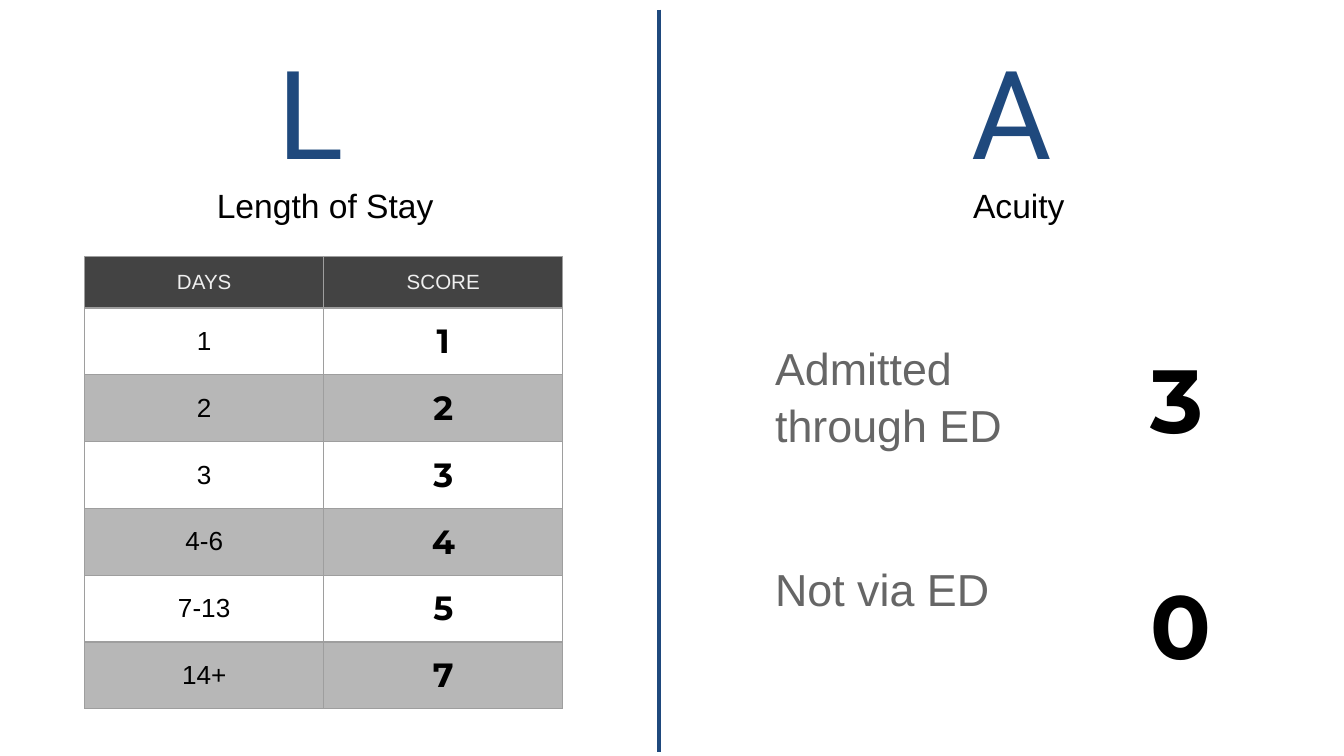
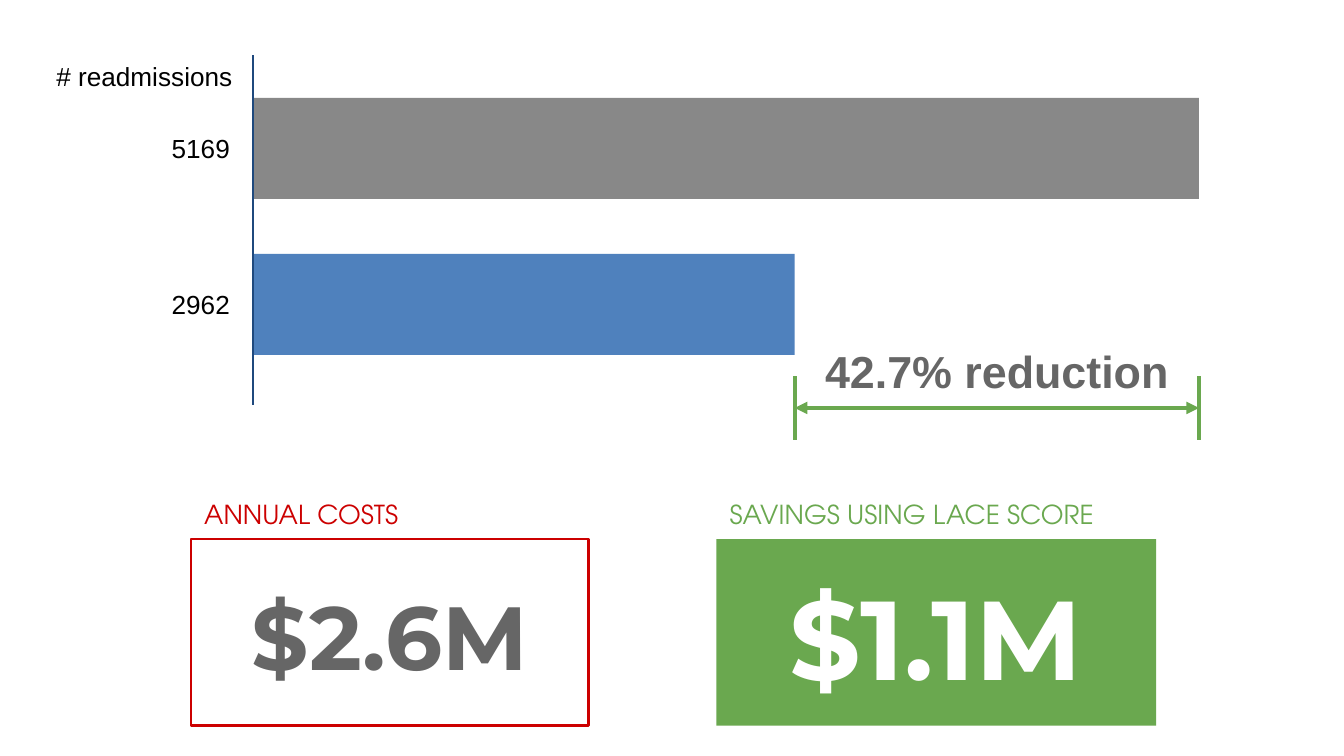
import pptx
import pptx.dml.color
import pptx.enum.shapes
import pptx.enum.text
import pptx.oxml
import pptx.oxml.ns
import pptx.util
from pptx.util import Cm

COLORS = {
    "navy": "1F497D",
    "blue": "4F81BD",
    "green": "6AA84F",
    "red": "CC0000",
    "black": "000000",
    "white": "FFFFFF",
    "text_gray": "666666",
    "bar_gray": "888888",
    "header": "434343",
    "header_text": "EFEFEF",
    "stripe": "B7B7B7",
    "border": "9E9E9E",
}
RGB = {name: pptx.dml.color.RGBColor.from_string(value) for name, value in COLORS.items()}
DRAWING = pptx.oxml.ns.nsdecls("a")
ALIGN = pptx.enum.text.PP_ALIGN
ANCHOR = pptx.enum.text.MSO_ANCHOR
RECTANGLE = pptx.enum.shapes.MSO_SHAPE.RECTANGLE


def write_text(target, text, size=14, font="Arial", color="black", bold=False,
               align=ALIGN.CENTER, anchor=ANCHOR.MIDDLE, spacing=1.05, gap=0):
    frame = target.text_frame
    frame.word_wrap = True
    frame.vertical_anchor = anchor
    frame.margin_left = frame.margin_right = Cm(0.25)
    frame.margin_top = frame.margin_bottom = Cm(0.25)
    frame.text = text
    for paragraph in frame.paragraphs:
        paragraph.alignment = align
        paragraph.line_spacing = spacing
        paragraph.font.size = pptx.util.Pt(size)
        paragraph.font.name = font
        paragraph.font.bold = bold
        paragraph.font.color.rgb = RGB[color]
    if gap:
        frame.paragraphs[-1].space_before = pptx.util.Pt(gap)


def draw_line(slide, start, end, color, width, arrows=False):
    connector = slide.shapes.add_connector(
        pptx.enum.shapes.MSO_CONNECTOR.STRAIGHT,
        Cm(start[0]), Cm(start[1]), Cm(end[0]), Cm(end[1]))
    connector.line.color.rgb = RGB[color]
    connector.line.width = pptx.util.Pt(width)
    if arrows:
        for tag in ("headEnd", "tailEnd"):
            connector.line._get_or_add_ln().append(
                pptx.oxml.parse_xml(f'<a:{tag} {DRAWING} type="triangle"/>'))
    connector._element.spPr.append(pptx.oxml.parse_xml(f"<a:effectLst {DRAWING}/>"))


presentation = pptx.Presentation()
presentation.slide_width = Cm(25.4)
presentation.slide_height = Cm(14.29)
blank_layout = presentation.slide_layouts[6]

slide = presentation.slides.add_slide(blank_layout)
draw_line(slide, (12.45, 0.18), (12.45, 14.22), "navy", 2.25)

for letter, letter_left, caption, caption_left in (
    ("L", 5, "Length of Stay", 1.98),
    ("A", 18.11, "Acuity", 15.09),
):
    shape = slide.shapes.add_textbox(Cm(letter_left), Cm(0.84), Cm(2.29), Cm(2.36))
    write_text(shape, letter, size=66, font="Roboto", color="navy", align=ALIGN.LEFT)
    shape = slide.shapes.add_textbox(Cm(caption_left), Cm(3.2), Cm(8.33), Cm(1.45))
    write_text(shape, caption, size=18, anchor=ANCHOR.TOP)

stay_scores = [("DAYS", "SCORE"), ("1", "1"), ("2", "2"), ("3", "3"),
               ("4-6", "4"), ("7-13", "5"), ("14+", "7")]
table = slide.shapes.add_table(
    len(stay_scores), 2, Cm(1.6), Cm(4.85), Cm(9.04), Cm(7.39)).table
table.first_row = False
table.horz_banding = False
for column in table.columns:
    column.width = Cm(4.52)
for row_index, values in enumerate(stay_scores):
    table.rows[row_index].height = Cm(1.07 if row_index else 0.97)
    for column_index, value in enumerate(values):
        cell = table.cell(row_index, column_index)
        if row_index == 0:
            style = {"size": 11, "color": "header_text"}
        elif column_index == 1:
            style = {"size": 18, "font": "Montserrat", "bold": True}
        else:
            style = {"size": 14}
        write_text(cell, value, spacing=1.0, **style)
        cell.vertical_anchor = ANCHOR.MIDDLE
        cell.margin_left = cell.margin_right = Cm(0.25)
        cell.margin_top = cell.margin_bottom = Cm(0.25)
        if row_index % 2:
            cell.fill.background()
        else:
            cell.fill.solid()
            cell.fill.fore_color.rgb = RGB["stripe" if row_index else "header"]
        for position, side in enumerate("LRTB"):
            cell._tc.get_or_add_tcPr().insert(position, pptx.oxml.parse_xml(
                f'<a:ln{side} {DRAWING} w="9525"><a:solidFill>'
                f'<a:srgbClr val="{COLORS["border"]}"/></a:solidFill></a:ln{side}>'))

shape = slide.shapes.add_textbox(Cm(14.4), Cm(6.15), Cm(5.77), Cm(7.11))
write_text(shape, "Admitted\nthrough ED\nNot via ED", size=24, color="text_gray",
           align=ALIGN.LEFT, anchor=ANCHOR.TOP, gap=57.5)
shape = slide.shapes.add_textbox(Cm(21.49), Cm(5.44), Cm(2.36), Cm(8.33))
write_text(shape, "3\n0", size=48, font="Montserrat", bold=True,
           align=ALIGN.LEFT, gap=60.5)

slide = presentation.slides.add_slide(blank_layout)
axis_left = 4.78
before_right = 22.66
after_right = 15.02

for readmissions, top, right, color in (
    ("5169", 1.85, before_right, "bar_gray"),
    ("2962", 4.8, after_right, "blue"),
):
    bar = slide.shapes.add_shape(
        RECTANGLE, Cm(axis_left), Cm(top), Cm(right - axis_left), Cm(1.91))
    bar.shadow.inherit = False
    bar.fill.solid()
    bar.fill.fore_color.rgb = RGB[color]
    bar.line.fill.background()
    shape = slide.shapes.add_textbox(Cm(2.79), Cm(top + 0.3), Cm(2.01), Cm(1.27))
    write_text(shape, readmissions)

draw_line(slide, (axis_left, 1.04), (axis_left, 7.65), "navy", 1.5)
shape = slide.shapes.add_textbox(Cm(0.66), Cm(0.79), Cm(4.14), Cm(1.27))
write_text(shape, "# readmissions")

draw_line(slide, (after_right, 7.71), (before_right, 7.71), "green", 2.25, arrows=True)
for tick in (after_right, before_right):
    draw_line(slide, (tick, 7.11), (tick, 8.31), "green", 2.25)
shape = slide.shapes.add_textbox(
    Cm(after_right), Cm(6.2), Cm(before_right - after_right), Cm(1.27))
write_text(shape, "42.7% reduction", size=24, color="text_gray", bold=True,
           anchor=ANCHOR.TOP)

for label, amount, left, width, color, filled, size, amount_color in (
    ("ANNUAL COSTS", "$2.6M", 3.61, 7.52, "red", False, 48, "text_gray"),
    ("SAVINGS USING LACE SCORE", "$1.1M", 13.54, 8.31, "green", True, 60, "white"),
):
    box = slide.shapes.add_shape(RECTANGLE, Cm(left), Cm(10.19), Cm(width), Cm(3.53))
    box.shadow.inherit = False
    if filled:
        box.fill.solid()
        box.fill.fore_color.rgb = RGB[color]
        box.line.fill.background()
    else:
        box.fill.background()
        box.line.color.rgb = RGB[color]
        box.line.width = pptx.util.Pt(1.5)
    write_text(box, amount, size=size, font="Montserrat", color=amount_color, bold=True)
    shape = slide.shapes.add_textbox(Cm(left), Cm(9.14), Cm(width), Cm(1.04))
    write_text(shape, label, font="TeX Gyre Adventor", color=color,
               align=ALIGN.LEFT, anchor=ANCHOR.TOP)

presentation.save("out.pptx")
